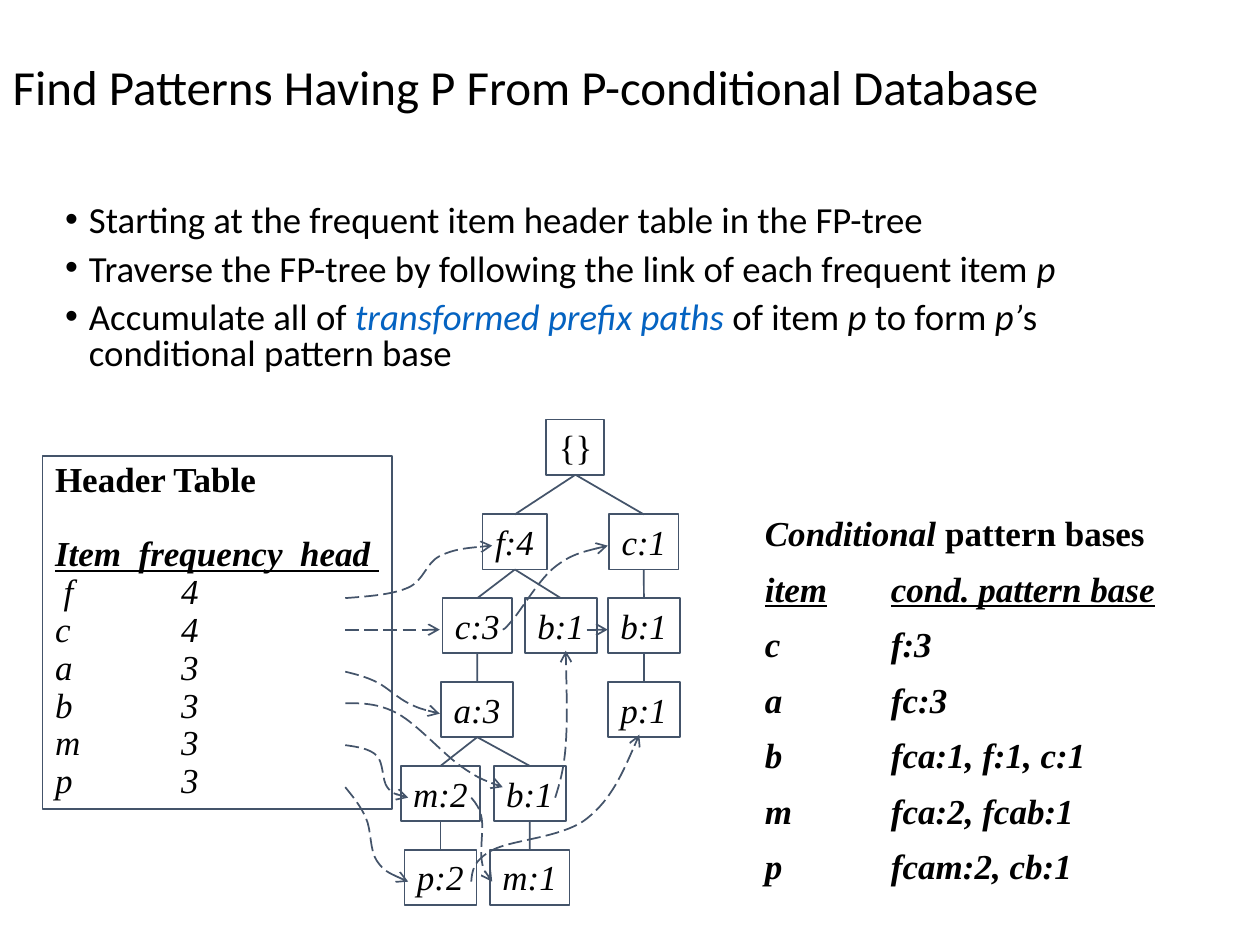
from lxml import etree
from pptx import Presentation
from pptx.dml.color import RGBColor
from pptx.enum.dml import MSO_LINE
from pptx.enum.shapes import MSO_CONNECTOR, MSO_SHAPE
from pptx.enum.text import MSO_ANCHOR, MSO_AUTO_SIZE, PP_ALIGN
from pptx.oxml.ns import qn
from pptx.util import Cm, Pt

BLACK = RGBColor(0x00, 0x00, 0x00)
SLATE = RGBColor(0x44, 0x54, 0x6A)
BLUE = RGBColor(0x05, 0x63, 0xC1)
SANS, SERIF = "Calibri", "Times New Roman"
LEFT, TOP, MIDDLE = PP_ALIGN.LEFT, MSO_ANCHOR.TOP, MSO_ANCHOR.MIDDLE
STRAIGHT, RECTANGLE = MSO_CONNECTOR.STRAIGHT, MSO_SHAPE.RECTANGLE
LONG_DASH, NO_AUTOFIT = MSO_LINE.LONG_DASH, MSO_AUTO_SIZE.NONE
TOP_SITE, BOTTOM_SITE = 0, 2

TAB_STOP = 2.54
NODE_HEIGHT, ROW_PITCH, ROOT_GAP = 1.11, 1.69, 0.22
NODE_WIDTHS = {"{": 1.17, "f": 1.3, "c": 1.4, "a": 1.45, "b": 1.45, "p": 1.45, "m": 1.6}
COLUMN_CENTRES = {"m branch": 0.88, "c branch": 1.62, "f branch": 2.38,
                  "low b branch": 2.68, "b branch": 3.31, "root": 3.6, "right": 4.98}
LINK_STEP = 2.54 / 6

BULLETS = [
    [("Starting at the frequent item header table in the FP-tree", False)],
    [("Traverse the FP-tree by following the link of each frequent item ", False),
     ("p", True)],
    [("Accumulate all of ", False), ("transformed prefix paths", True),
     (" of item ", False), ("p ", True), ("to form ", False), ("p’", True),
     ("s conditional pattern base", False)],
]
HEADER_ROWS = [" f\t4", "c\t4", "a\t3", "b\t3", "m\t3", "p\t3"]
PATTERN_ROWS = ["item\tcond. pattern base", "c\tf:3", "a\tfc:3",
                "b\tfca:1, f:1, c:1", "m\tfca:2, fcab:1", "p\tfcam:2, cb:1"]

# (label, column, row): parent
TREE = {
    ("{}", "root", 0): None,
    ("f:4", "f branch", 1): ("{}", "root", 0),
    ("c:1", "right", 1): ("{}", "root", 0),
    ("b:1", "right", 2): ("c:1", "right", 1),
    ("p:1", "right", 3): ("b:1", "right", 2),
    ("b:1", "b branch", 2): ("f:4", "f branch", 1),
    ("c:3", "c branch", 2): ("f:4", "f branch", 1),
    ("a:3", "c branch", 3): ("c:3", "c branch", 2),
    ("b:1", "low b branch", 4): ("a:3", "c branch", 3),
    ("m:2", "m branch", 4): ("a:3", "c branch", 3),
    ("p:2", "m branch", 5): ("m:2", "m branch", 4),
    ("m:1", "low b branch", 5): ("b:1", "low b branch", 4),
}
# bends counted in link steps across and down
LINKS = {
    "head to f:4": [(0, 2.5), (3, 2), (4.5, 0.5), (7, 0)],
    "head to c:3": [(0, 4), (4.5, 4)],
    "c:3 to c:1": [(7.5, 4), (8, 3.5), (10, 1), (12.5, 0)],
    "head to a:3": [(0, 6), (1.5, 6.5), (3, 7.5), (4.5, 8)],
    "head to low b:1": [(0, 7.5), (2.5, 8), (5.5, 10.5), (7.5, 11.5)],
    "low b:1 to middle b:1": [(10, 12), (10.5, 9.5), (10.5, 5)],
    "middle b:1 to right b:1": [(11.5, 4), (12.5, 4)],
    "head to m:2": [(0, 9.5), (1.5, 10), (2, 11.5), (3, 12)],
    "m:2 to m:1": [(6, 12), (6.5, 13), (6.5, 15), (7, 16)],
    "head to p:2": [(0, 11.5), (1, 13), (1.5, 15), (3, 16)],
    "p:2 to p:1": [(6, 16), (7, 14.5), (11.5, 13), (14, 9)],
}


def place(shape, left, top, width, height):
    shape.left, shape.top = Cm(left), Cm(top)
    shape.width, shape.height = Cm(width), Cm(height)


def set_font(font, name, size, bold=False, italic=False, underline=False):
    font.name, font.size, font.color.rgb = name, Pt(size), BLACK
    font.bold, font.italic, font.underline = bold, italic, underline


def add_tab(para):
    tabs = etree.SubElement(para._p.get_or_add_pPr(), qn("a:tabLst"))
    etree.SubElement(tabs, qn("a:tab"), pos=str(Cm(TAB_STOP)), algn="l")


def next_para(frame):
    return frame.add_paragraph() if frame.paragraphs[0].runs else frame.paragraphs[0]


def add_spans(para, pieces):
    for text, italic in pieces:
        span = para.add_run()
        span.text, span.font.italic = text, italic


def outline(shape):
    shape.line.color.rgb, shape.line.width = SLATE, Pt(1)


def add_line(page, start, end):
    line = page.shapes.add_connector(STRAIGHT, *start, *end)
    etree.SubElement(line._element.spPr, qn("a:effectLst"))
    outline(line)
    return line


def make_hollow(shape):
    shape.shadow.inherit = False
    shape.fill.background()
    outline(shape)


def add_frame(page, left, top, width, height):
    box = page.shapes.add_shape(RECTANGLE, Cm(left), Cm(top), Cm(width), Cm(height))
    make_hollow(box)
    box.text_frame.vertical_anchor = TOP
    return box


def add_title(page, left, top, width, height):
    title = page.shapes.title
    place(title, left, top, width, height)
    frame = title.text_frame
    frame.text = "Find Patterns Having P From P-conditional Database"
    frame.vertical_anchor, frame.auto_size = MIDDLE, NO_AUTOFIT
    para = frame.paragraphs[0]
    para.alignment, para.line_spacing = LEFT, 0.9
    set_font(para.font, SANS, 28)


def add_bullets(page, left, top, width, height):
    body = page.placeholders[1]
    place(body, left, top, width, height)
    frame = body.text_frame
    frame.auto_size = NO_AUTOFIT
    for index, pieces in enumerate(BULLETS):
        para = next_para(frame)
        properties = para._p.get_or_add_pPr()
        properties.set("marL", str(Cm(0.48)))
        properties.set("indent", str(-Cm(0.48)))
        para.line_spacing, para.space_before = 0.8, Pt(7.5 if index else 0)
        set_font(para.font, SANS, 21)
        add_spans(para, pieces)
    frame.paragraphs[-1].runs[1].font.color.rgb = BLUE


def add_pattern_bases(page, left, top, width, height):
    box = page.shapes.add_textbox(Cm(left), Cm(top), Cm(width), Cm(height))
    frame = box.text_frame
    frame.word_wrap = True
    heading = frame.paragraphs[0]
    set_font(heading.font, SERIF, 20, bold=True)
    add_spans(heading, [("Conditional ", True), ("pattern bases", False)])
    for row, text in enumerate(PATTERN_ROWS):
        para = next_para(frame)
        add_tab(para)
        para.line_spacing, para.space_before = 0.8, Pt(12.5)
        set_font(para.font, SERIF, 20, bold=True, italic=True)
        for piece in text.partition("\t"):
            span = para.add_run()
            span.text = piece
            span.font.underline = row == 0 and piece != "\t"


def add_header_table(page, left, top, width, height):
    frame = add_frame(page, left, top, width, height).text_frame
    for row, text in enumerate(["Header Table", "Item  frequency  head ", *HEADER_ROWS]):
        para = next_para(frame)
        add_tab(para)
        para.alignment, para.line_spacing = LEFT, 0.9
        para.space_before = Pt(20.7 if row == 1 else 0)
        para.add_run().text = text
        set_font(para.font, SERIF, 20, bold=row < 2, italic=row > 0, underline=row == 1)


def add_tree(page, left, top):
    boxes = {}
    for node, parent in TREE.items():
        label, column, row = node
        width = NODE_WIDTHS[label[0]]
        node_left = left + COLUMN_CENTRES[column] - width / 2
        node_top = top + row * ROW_PITCH + (ROOT_GAP if row else 0)
        box = boxes[node] = add_frame(page, node_left, node_top, width, NODE_HEIGHT)
        box.text_frame.word_wrap = False
        box.text_frame.text = label
        para = box.text_frame.paragraphs[0]
        para.alignment = LEFT
        set_font(para.font, SERIF, 20, italic=row > 0)
        if parent:
            edge = add_line(page, (0, 0), (0, 0))
            edge.begin_connect(boxes[parent], BOTTOM_SITE)
            edge.end_connect(box, TOP_SITE)


def smooth_handles(knots):
    incoming, outgoing = {}, {}
    for index in range(1, len(knots) - 1):
        before, knot, after = knots[index - 1:index + 2]
        pull = [(b - a) / 6 for a, b in zip(before, after)]
        incoming[index] = [k - p for k, p in zip(knot, pull)]
        outgoing[index] = [k + p for k, p in zip(knot, pull)]
    last = len(knots) - 1
    outgoing[0] = [(a + b) / 2 for a, b in zip(knots[0], incoming[1])]
    incoming[last] = [(a + b) / 2 for a, b in zip(knots[last], outgoing[last - 1])]
    return [(outgoing[index], incoming[index + 1]) for index in range(last)]


def add_curve(page, knots):
    builder = page.shapes.build_freeform(*knots[0])
    builder.add_line_segments(knots[1:], close=False)
    curve = builder.convert_to_shape()
    make_hollow(curve)
    segments = list(curve._element.iter(qn("a:lnTo")))
    for segment, handles in zip(segments, smooth_handles(knots)):
        bezier = etree.Element(qn("a:cubicBezTo"))
        for x, y in handles:
            etree.SubElement(bezier, qn("a:pt"), x=str(round(x - curve.left)),
                             y=str(round(y - curve.top)))
        bezier.append(segment[0])
        segment.getparent().replace(segment, bezier)
    return curve


def add_links(page, left, top):
    for bends in LINKS.values():
        knots = [(Cm(left + across * LINK_STEP), Cm(top + down * LINK_STEP))
                 for across, down in bends]
        arrow = add_line(page, *knots) if len(knots) == 2 else add_curve(page, knots)
        arrow.line.dash_style = LONG_DASH
        stroke = arrow._element.spPr.find(qn("a:ln"))
        etree.SubElement(stroke, qn("a:tailEnd"), type="arrow")


def main():
    deck = Presentation()
    deck.slide_width, deck.slide_height = Cm(25.4), Cm(19.05)
    page = deck.slides.add_slide(deck.slide_layouts[1])
    add_title(page, 0, 0.85, 25.4, 1.9)
    add_bullets(page, 1.06, 4.02, 23.28, 4.23)
    add_pattern_bases(page, 15.17, 10.19, 9.25, 7.83)
    add_tree(page, 8, 8.46)
    add_header_table(page, 0.86, 9.2, 7.04, 7.11)
    add_links(page, 6.96, 11)
    deck.save("out.pptx")


if __name__ == "__main__":
    main()
